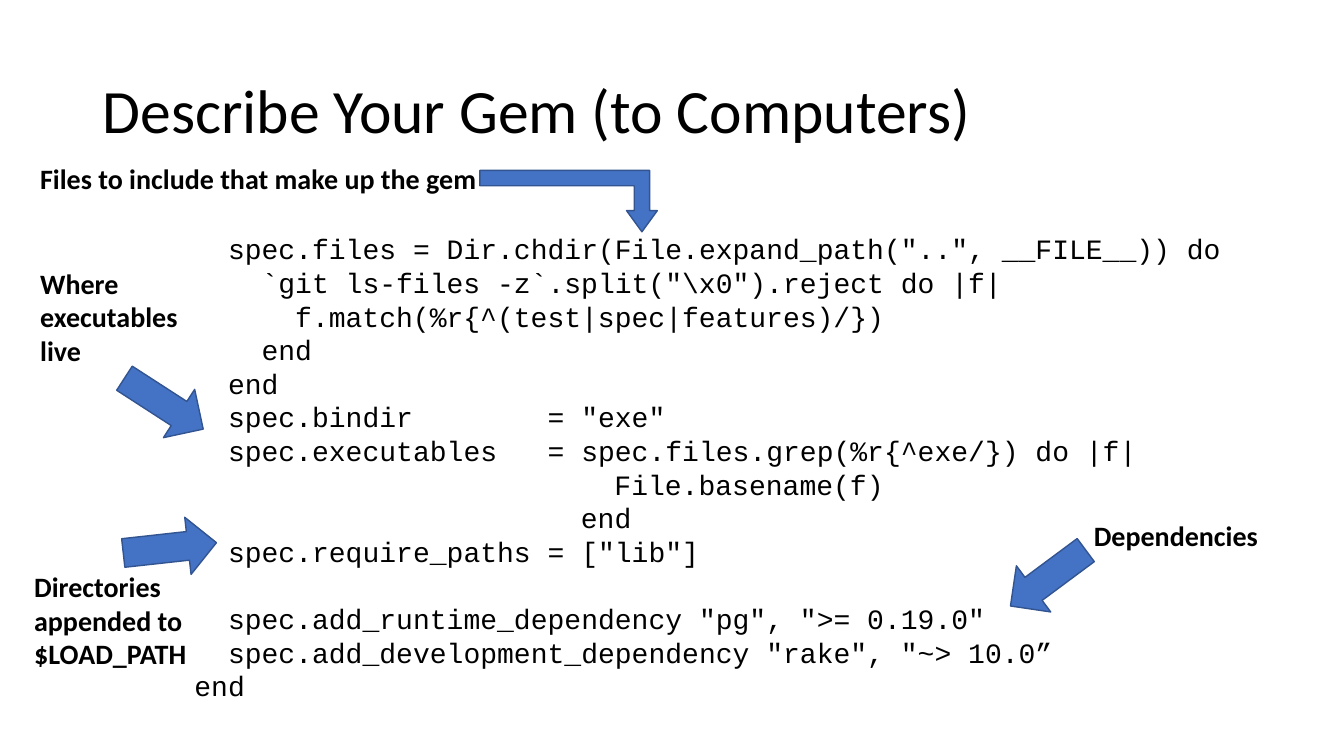
import pptx
import pptx.util
import pptx.dml.color
import pptx.enum.shapes
import pptx.enum.text

Inches, Pt = pptx.util.Inches, pptx.util.Pt
SHAPES = pptx.enum.shapes.MSO_SHAPE

COLORS = {"text": "000000", "paper": "FFFFFF", "arrow": "4472C4", "outline": "325491"}
CODE_SIZE = 20
CODE_LINE = 24
CHAR_WIDTH = CODE_SIZE * 0.6  # advance of one monospaced character, in points

GEMSPEC = r'''  spec.files = Dir.chdir(File.expand_path("..", __FILE__)) do
    `git ls-files -z`.split("\x0").reject do |f|
      f.match(%r{^(test|spec|features)/})
    end
  end
  spec.bindir        = "exe"
  spec.executables   = spec.files.grep(%r{^exe/}) do |f|
                         File.basename(f)
                       end
  spec.require_paths = ["lib"]

  spec.add_runtime_dependency "pg", ">= 0.19.0"
  spec.add_development_dependency "rake", "~> 10.0”
end'''

# text, box, whether it has a white background
LABELS = [
    ("Files to include that make up the gem", (0.3, 1.55, 4.56, 0.44), False),
    ("Where executables live", (0.3, 2.59, 1.82, 1.11), True),
    ("Directories appended to $LOAD_PATH", (0.24, 5.6, 1.76, 1.11), True),
    ("Dependencies", (10.75, 5.09, 1.98, 0.44), False),
]

# left, top, rotation of the equal-sized arrows
POINTERS = [(1.4, 4.97, 263.7), (1.34, 3.54, 302.9), (10.11, 5.27, 53.4)]


def color(name):
    return pptx.dml.color.RGBColor.from_string(COLORS[name])


def set_font(para, name, size, bold=False):
    para.font.name = name
    para.font.size = Pt(size)
    para.font.bold = bold
    para.font.color.rgb = color("text")


def add_text_box(page, box):
    text_box = page.shapes.add_textbox(*map(Inches, box))
    text_box.text_frame.word_wrap = True
    return text_box


def add_title(page, box, text):
    frame = add_text_box(page, box).text_frame
    frame.vertical_anchor = pptx.enum.text.MSO_ANCHOR.MIDDLE
    para = frame.paragraphs[0]
    para.text = text
    para.line_spacing = 0.9
    set_font(para, "Calibri", 44)


def add_code(page, box, listing):
    """Turn leading spaces into indents and empty lines into space before."""
    frame = add_text_box(page, box).text_frame
    para, gap = frame.paragraphs[0], 0
    for line in listing.splitlines():
        code = line.lstrip()
        if not code:
            gap += CODE_LINE
            continue
        if para.text:
            para = frame.add_paragraph()
        para.text = code
        para.line_spacing = Pt(CODE_LINE)
        para.space_before = Pt(gap)
        set_font(para, "Courier New", CODE_SIZE)
        indent = Pt((len(line) - len(code)) * CHAR_WIDTH)
        properties = para._p.get_or_add_pPr()
        properties.set("marL", str(indent))
        properties.set("indent", "0")
        gap = 0


def add_label(page, box, text, filled):
    label = add_text_box(page, box)
    if filled:
        label.fill.solid()
        label.fill.fore_color.rgb = color("paper")
    para = label.text_frame.paragraphs[0]
    para.text = text
    set_font(para, "Calibri", 20, bold=True)


def add_arrow(page, kind, box, rotation=0):
    arrow = page.shapes.add_shape(kind, *map(Inches, box))
    arrow.shadow.inherit = False
    arrow.rotation = rotation
    arrow.fill.solid()
    arrow.fill.fore_color.rgb = color("arrow")
    arrow.line.color.rgb = color("outline")
    arrow.line.width = Pt(1)
    return arrow


def add_arrows(page):
    bent = add_arrow(page, SHAPES.BENT_UP_ARROW, (4.76, 1.69, 1.76, 0.61))
    bent.adjustments[2] = 0.345
    bent._element.spPr.xfrm.set("flipV", "1")
    for left, top, rotation in POINTERS:
        add_arrow(page, SHAPES.DOWN_ARROW, (left, top, 0.57, 0.93), rotation)


def main():
    deck = pptx.Presentation()
    deck.slide_width, deck.slide_height = Inches(13.33), Inches(7.5)
    page = deck.slides.add_slide(deck.slide_layouts[6])
    add_code(page, (1.83, 2.25, 10.47, 4.81), GEMSPEC)
    add_title(page, (0.92, 0.4, 11.5, 1.45), "Describe Your Gem (to Computers)")
    for text, box, filled in LABELS:
        add_label(page, box, text, filled)
    add_arrows(page)
    deck.save("out.pptx")


if __name__ == "__main__":
    main()
